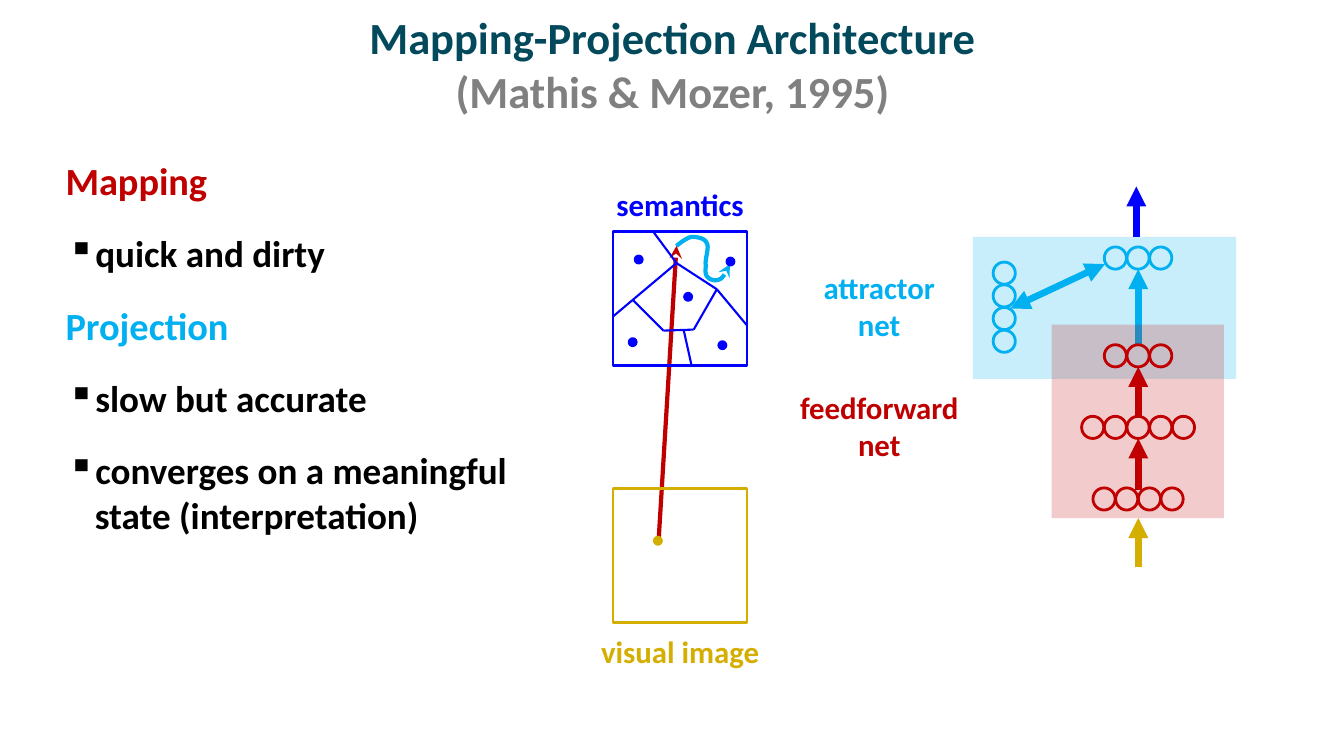
import pptx
import pptx.dml.color
import pptx.enum.shapes
import pptx.enum.text
import pptx.oxml.ns
import pptx.oxml.xmlchemy
import pptx.util
from pptx.util import Inches

RGBColor = pptx.dml.color.RGBColor
SHAPE = pptx.enum.shapes.MSO_SHAPE
ALIGN = pptx.enum.text.PP_ALIGN
TEAL = RGBColor(0x03, 0x49, 0x5C)
GRAY = RGBColor(0x80, 0x80, 0x80)
BLACK = RGBColor(0, 0, 0)
RED = RGBColor(0xC0, 0, 0)
CYAN = RGBColor(0, 0xB0, 0xF0)
BLUE = RGBColor(0, 0, 0xFF)
GOLD = RGBColor(0xD4, 0xAE, 0)
FONT = "Calibri"
UNIT = 0.22
PITCH = 0.225
DOT = 0.07


def add_xml(parent, tag, **attributes):
    """Append a drawing element with the given attributes."""
    element = pptx.oxml.xmlchemy.OxmlElement(tag)
    for name, value in attributes.items():
        element.set(name, value)
    parent.append(element)


def set_font(font, size, color=None):
    """Apply the bold slide typeface."""
    font.name, font.size, font.bold = FONT, pptx.util.Pt(size), True
    if color is not None:
        font.color.rgb = color


def add_outline(page, kind, box, color, filled=False):
    """Draw a preset shape with a coloured outline."""
    shape = page.shapes.add_shape(kind, *map(Inches, box))
    shape.shadow.inherit = False
    shape.line.color.rgb, shape.line.width = color, pptx.util.Pt(2)
    if filled:
        shape.fill.solid()
        shape.fill.fore_color.rgb = color
    else:
        shape.fill.background()


def add_region(page, box, color, opacity):
    """Draw a translucent rectangle without an outline."""
    shape = page.shapes.add_shape(SHAPE.RECTANGLE, *map(Inches, box))
    shape.shadow.inherit = False
    shape.line.fill.background()
    shape.fill.solid()
    shape.fill.fore_color.rgb = color
    tint = shape._element.spPr.find(".//" + pptx.oxml.ns.qn("a:srgbClr"))
    add_xml(tint, "a:alpha", val=str(opacity * 1000))


def add_line(page, start, end, color, width, tail=None, head=None):
    """Draw a straight line with optional arrowheads."""
    kind = pptx.enum.shapes.MSO_CONNECTOR.STRAIGHT
    line = page.shapes.add_connector(kind, *map(Inches, (*start, *end)))
    line.line.color.rgb, line.line.width = color, pptx.util.Pt(width)
    if head:
        add_xml(line.line._get_or_add_ln(), "a:headEnd", type=head)
    if tail:
        add_xml(line.line._get_or_add_ln(), "a:tailEnd", type=tail)
    add_xml(line._element.spPr, "a:effectLst")


def add_label(page, center, top, width, lines, color):
    """Place a centred label of one or more lines."""
    box = (center - width / 2, top, width, 0.1 + 0.37 * len(lines))
    frame = page.shapes.add_textbox(*map(Inches, box)).text_frame
    frame.word_wrap = False
    frame.text = "\n".join(lines)
    for para in frame.paragraphs:
        para.alignment = ALIGN.CENTER
        set_font(para.font, 22, color)


def set_margins(frame):
    """Give a text frame the margins of the main text areas."""
    frame.margin_left = frame.margin_right = Inches(0.11)
    frame.margin_top = frame.margin_bottom = Inches(0.06)
    frame.word_wrap = True
    frame.auto_size = pptx.enum.text.MSO_AUTO_SIZE.NONE


def draw_title(page, box):
    """Fill the title placeholder with the name and the citation."""
    title = page.shapes.title
    title.left, title.top, title.width, title.height = map(Inches, box)
    frame = title.text_frame
    set_margins(frame)
    frame.vertical_anchor = pptx.enum.text.MSO_ANCHOR.MIDDLE
    para = frame.paragraphs[0]
    para.alignment = ALIGN.CENTER
    name = para.add_run()
    name.text = "Mapping-Projection Architecture"
    para.add_line_break()
    citation = para.add_run()
    citation.text = "(Mathis & Mozer, 1995)"
    for span, color in ((name, TEAL), (citation, GRAY)):
        set_font(span.font, 31.8, color)


def draw_summary(page, box):
    """Write the two headings with their bullet points."""
    frame = page.shapes.add_textbox(*map(Inches, box)).text_frame
    set_margins(frame)
    entries = (("Mapping", RED), ("quick and dirty", None), ("Projection", CYAN),
               ("slow but accurate", None),
               ("converges on a meaningful state (interpretation)", None))
    for index, (text, heading_color) in enumerate(entries):
        para = frame.add_paragraph() if index else frame.paragraphs[0]
        para.text = text
        if index:
            para.space_before = pptx.util.Pt(19.5)
        margin, indent = (0.1, 0) if heading_color else (0.39, -0.27)
        properties = para._p.get_or_add_pPr()
        properties.set("marL", str(Inches(margin)))
        properties.set("indent", str(Inches(indent)))
        if heading_color:
            set_font(para.font, 27.4, heading_color)
        else:
            add_xml(properties, "a:buChar", char="▪")
            set_font(para.font, 26.5, BLACK)


def draw_semantics(page, box):
    """Draw the semantic space, its regions and their attractors."""
    left, top, width, height = box
    peak, right, low_right, low_left, side = (
        (0.63, 0.31), (1.03, 0.57), (0.8, 0.97), (0.5, 0.98), (0.2, 0.68))
    borders = (((0.4, 0), peak), (peak, (0, 0.84)), (peak, right),
               (right, (width, 0.93)), (right, low_right), (low_right, low_left),
               (low_left, side), ((0.78, height), (0.7, 0.97)))
    for x, y in ((0.16, 1.06), (0.71, 0.61), (1.05, 1.09), (0.22, 0.24), (1.13, 0.26)):
        add_outline(page, SHAPE.OVAL, (left + x, top + y, DOT, DOT), BLUE, True)
    for (x1, y1), (x2, y2) in borders:
        add_line(page, (left + x1, top + y1), (left + x2, top + y2), BLUE, 1.5)
    add_outline(page, SHAPE.RECTANGLE, box, BLUE)
    add_label(page, left + width / 2, top - 0.51, 1.48, ["semantics"], BLUE)


def draw_visual_image(page, box):
    """Draw the visual space with its input point."""
    left, top, width, height = box
    add_outline(page, SHAPE.RECTANGLE, box, GOLD)
    add_label(page, left + width / 2, top + height + 0.05, 1.79, ["visual image"], GOLD)
    add_outline(page, SHAPE.OVAL, (left + 0.41, top + 0.48, DOT, DOT), GOLD, True)


def draw_trajectory(page, semantics, visual):
    """Draw the mapping arrow and the curved projection that follows it."""
    left, top = semantics[:2]
    knots = ((0.63, 0.14), (0.68, 0.1), (0.73, 0.06), (0.78, 0.05),
             (0.83, 0.05), (0.91, 0.06), (0.93, 0.11),
             (0.96, 0.15), (0.91, 0.27), (0.92, 0.33),
             (0.92, 0.39), (0.91, 0.42), (0.94, 0.45),
             (0.97, 0.48), (1.02, 0.49), (1.06, 0.47),
             (1.1, 0.46), (1.16, 0.32), (1.16, 0.32))
    weights = [((1 - t) ** 3, 3 * t * (1 - t) ** 2, 3 * t * t * (1 - t), t ** 3)
               for t in (step / 8 for step in range(1, 9))]
    points = [tuple(Inches(origin + sum(w * knot[axis] for w, knot in
                                        zip(weight, knots[first:first + 4])))
                    for axis, origin in enumerate((left, top)))
              for first in range(0, len(knots) - 1, 3) for weight in weights]
    builder = page.shapes.build_freeform(Inches(left + knots[0][0]), Inches(top + knots[0][1]))
    builder.add_line_segments(points, close=False)
    curve = builder.convert_to_shape()
    curve.shadow.inherit = False
    curve.fill.background()
    curve.line.color.rgb, curve.line.width = CYAN, pptx.util.Pt(3)
    add_xml(curve.line._get_or_add_ln(), "a:tailEnd", type="stealth")
    add_line(page, (visual[0] + 0.45, visual[1] + 0.55), (left + 0.63, top + 0.14),
             RED, 3, "stealth")


def draw_network(page, box):
    """Draw the attractor net on top of the feedforward net."""
    left, top, width, height = box
    center = left + 1.64

    def add_units(count, offset, color):
        """Draw a centred row of units."""
        start = center - count * PITCH / 2
        for index in range(count):
            add_outline(page, SHAPE.OVAL, (start + index * PITCH, top + offset, UNIT, UNIT), color)

    def add_arrow(start, end, color, x=center):
        """Draw a vertical arrow between two heights."""
        add_line(page, (x, top + start), (x, top + end), color, 4.75, "triangle")

    add_region(page, (left, top + 0.5, width, 1.41), CYAN, 21)
    add_arrow(0.5, 0, BLUE, center - 0.02)
    add_units(3, 0.6, CYAN)
    for index in range(4):
        add_outline(page, SHAPE.OVAL, (left + 0.2, top + 0.75 + index * PITCH, UNIT, UNIT), CYAN)
    add_arrow(1.57, 0.82, CYAN)
    add_line(page, (left + 0.37, top + 1.21), (left + 1.31, top + 0.77),
             CYAN, 4.75, "triangle", "triangle")
    add_region(page, (left + 0.78, top + 1.37, 1.71, 1.92), RED, 20)
    add_arrow(height, 3.29, GOLD)
    for count, offset in ((5, 2.28), (4, 2.99), (3, 1.57)):
        add_units(count, offset, RED)
    add_arrow(3.01, 2.5, RED)
    add_arrow(2.28, 1.79, RED)
    add_label(page, left - 0.93, top + 1.96, 1.79, ["feedforward", "net"], RED)
    add_label(page, left - 0.93, top + 0.77, 1.33, ["attractor", "net"], CYAN)


def main():
    """Build and save the slide."""
    deck = pptx.Presentation()
    deck.slide_width, deck.slide_height = Inches(13.33), Inches(7.5)
    page = deck.slides.add_slide(deck.slide_layouts[5])
    semantics, visual = (6.08, 2.3, 1.33, 1.33), (6.08, 4.85, 1.33, 1.33)
    draw_title(page, (0.67, 0.17, 12, 0.92))
    draw_summary(page, (0.44, 1.5, 5.12, 5.2))
    draw_trajectory(page, semantics, visual)
    draw_network(page, (9.65, 1.85, 2.61, 3.78))
    draw_visual_image(page, visual)
    draw_semantics(page, semantics)
    deck.save("out.pptx")


if __name__ == "__main__":
    main()
